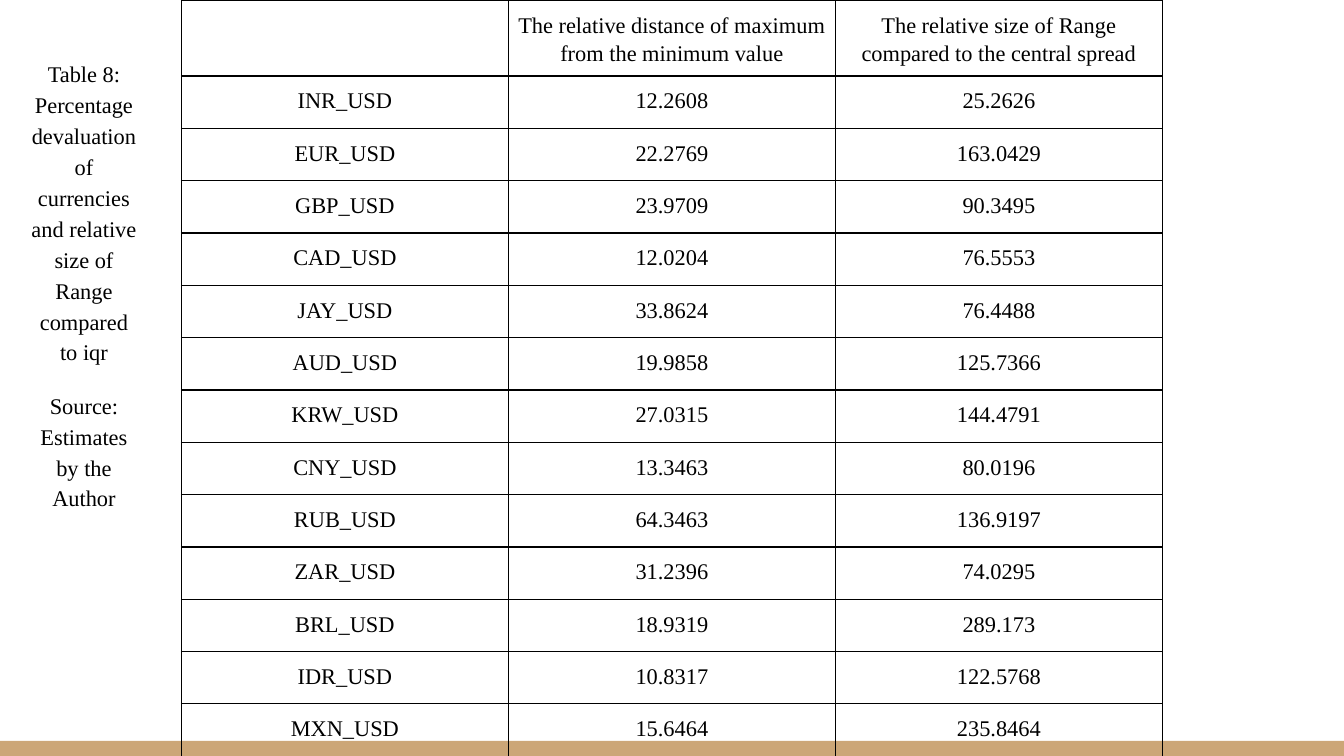
from lxml import etree
from pptx import Presentation
from pptx.dml.color import RGBColor
from pptx.enum import shapes, text
from pptx.oxml import ns
from pptx.util import Emu, Inches, Pt

COLORS = {"ink": "000000", "band": "CCA677", "paper": "FFFFFF"}
FONT = "Times New Roman"
HEADINGS = (
    "",
    "The relative distance of maximum from the minimum value",
    "The relative size of Range compared to the central spread",
)
CURRENCIES = (
    ("INR_USD", "12.2608", "25.2626"),
    ("EUR_USD", "22.2769", "163.0429"),
    ("GBP_USD", "23.9709", "90.3495"),
    ("CAD_USD", "12.0204", "76.5553"),
    ("JAY_USD", "33.8624", "76.4488"),
    ("AUD_USD", "19.9858", "125.7366"),
    ("KRW_USD", "27.0315", "144.4791"),
    ("CNY_USD", "13.3463", "80.0196"),
    ("RUB_USD", "64.3463", "136.9197"),
    ("ZAR_USD", "31.2396", "74.0295"),
    ("BRL_USD", "18.9319", "289.173"),
    ("IDR_USD", "10.8317", "122.5768"),
    ("MXN_USD", "15.6464", "235.8464"),
)
CAPTION = (
    "Table 8: Percentage devaluation of currencies and relative size of Range compared to iqr",
    "Source: Estimates by the Author",
)


def rgb(name):
    return RGBColor.from_string(COLORS[name])


def style_paragraph(paragraph, after=12):
    paragraph.alignment = text.PP_ALIGN.CENTER
    paragraph.line_spacing = 1.15
    paragraph.space_before = Pt(12)
    paragraph.space_after = Pt(after)
    paragraph.font.name = FONT
    paragraph.font.size = Pt(12)
    paragraph.font.color.rgb = rgb("ink")


def set_margins(holder, inset):
    holder.margin_left = holder.margin_right = inset
    holder.margin_top = holder.margin_bottom = inset


def outline_cell(cell):
    properties = cell._tc.get_or_add_tcPr()
    for place, side in enumerate(("lnL", "lnR", "lnT", "lnB")):
        line = etree.Element(ns.qn(f"a:{side}"), w=str(Pt(0.75)))
        fill = etree.SubElement(line, ns.qn("a:solidFill"))
        etree.SubElement(fill, ns.qn("a:srgbClr"), val=COLORS["ink"])
        properties.insert(place, line)


def add_band(slide, left, top, width, height):
    band = slide.shapes.add_shape(
        shapes.MSO_SHAPE.RECTANGLE, left, top, width, height)
    band.shadow.inherit = False
    band.fill.solid()
    band.fill.fore_color.rgb = rgb("band")
    band.line.fill.background()


def add_currency_table(slide, left, top, width, height):
    rows = (HEADINGS, *CURRENCIES)
    table = slide.shapes.add_table(
        len(rows), len(HEADINGS), left, top, width, height).table
    table.first_row = table.horz_banding = False

    # The heading row takes a tenth; the currencies share the rest
    table.rows[0].height = Emu(height // 10)
    for row in list(table.rows)[1:]:
        row.height = Emu((height - height // 10) // len(CURRENCIES))

    for r, values in enumerate(rows):
        for c, value in enumerate(values):
            cell = table.cell(r, c)
            cell.fill.background()
            set_margins(cell, Inches(0.07))
            cell.text = value
            style_paragraph(cell.text_frame.paragraphs[0])
            outline_cell(cell)


def add_caption(slide, left, top, width, height):
    frame = slide.shapes.add_textbox(left, top, width, height).text_frame
    frame.word_wrap = True
    set_margins(frame, Inches(0.1))
    frame.text = "\n".join(CAPTION)
    title, source = frame.paragraphs
    style_paragraph(title, after=0)
    style_paragraph(source)


def main():
    deck = Presentation()
    deck.slide_width = Inches(10)
    deck.slide_height = Emu(deck.slide_width * 9 // 16)
    slide = deck.slides.add_slide(deck.slide_layouts[6])
    slide.background.fill.solid()
    slide.background.fill.fore_color.rgb = rgb("paper")

    def share(left, top, width, height):
        return (int(left * deck.slide_width), int(top * deck.slide_height),
                int(width * deck.slide_width), int(height * deck.slide_height))

    # Footer band, table over it, caption in the left margin
    add_band(slide, *share(0, 0.98, 1, 0.02))
    add_currency_table(slide, *share(0.135, 0, 0.73, 1))
    add_caption(slide, *share(0.012, 0.057, 0.101, 0.875))

    deck.save("out.pptx")


if __name__ == "__main__":
    main()
